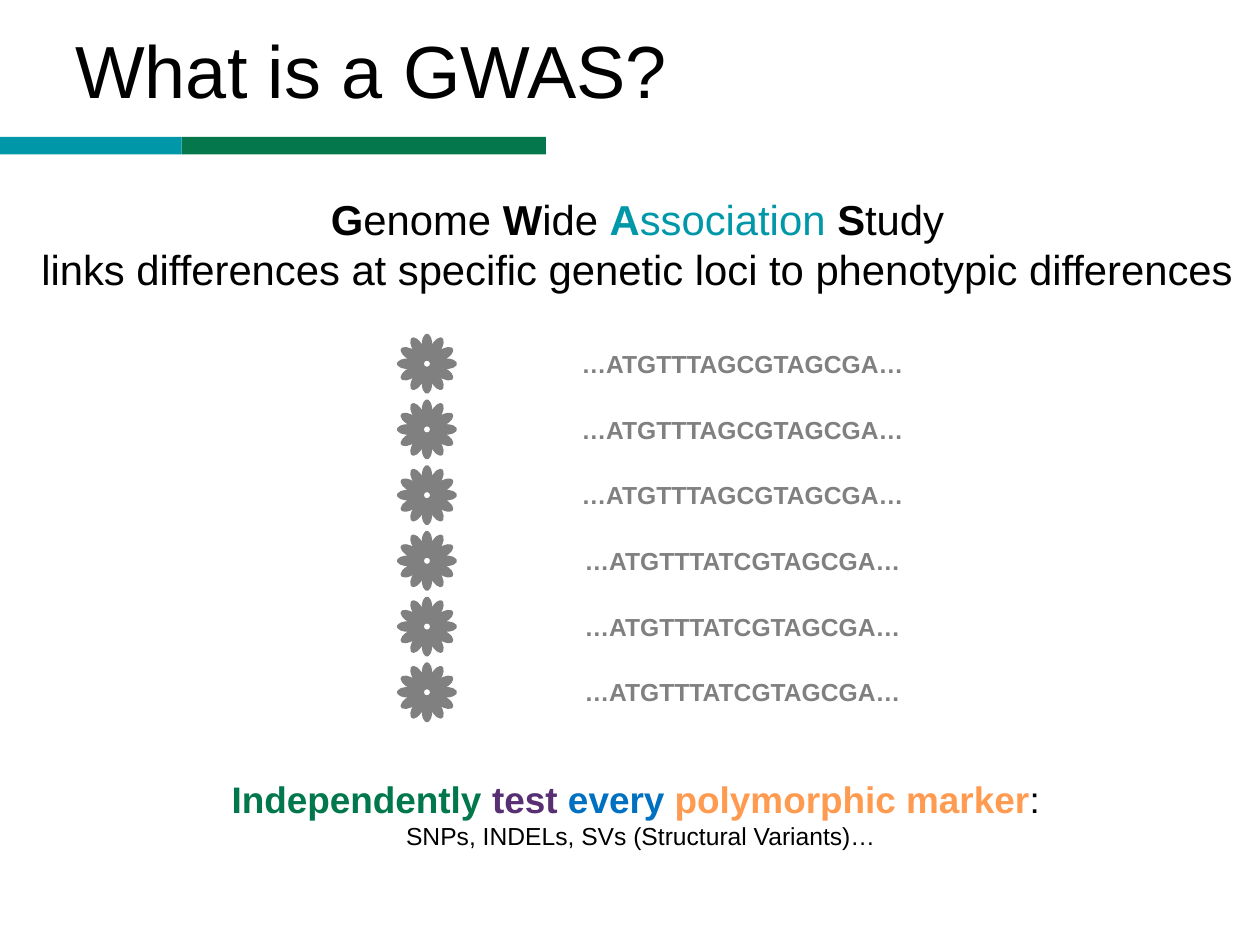
from math import cos, radians, sin

from lxml import etree
from pptx import Presentation
from pptx.dml.color import RGBColor
from pptx.enum.shapes import MSO_SHAPE
from pptx.enum.text import MSO_ANCHOR, MSO_AUTO_SIZE, PP_ALIGN
from pptx.oxml.ns import qn
from pptx.util import Pt

RECTANGLE = MSO_SHAPE.RECTANGLE
TOP, MIDDLE = MSO_ANCHOR.TOP, MSO_ANCHOR.MIDDLE
NO_FIT, GROW = MSO_AUTO_SIZE.NONE, MSO_AUTO_SIZE.SHAPE_TO_FIT_TEXT
LEFT, CENTER = PP_ALIGN.LEFT, PP_ALIGN.CENTER

TITLE_ONLY = 5
FONT = "Arial"
BLACK, GRAY, TEAL, GREEN = "000000", "808080", "0097A9", "05774D"
DARK_GREEN, PURPLE, BLUE, ORANGE = "01774C", "592F74", "0070C0", "FF9B50"

ROW_PITCH = 53.4
FLOWER_X, FLOWER_Y = 347, 295.6
SEQUENCE_Y = 278.9
SEQUENCES = ["…ATGTTTAGCGTAGCGA…"] * 3 + ["…ATGTTTATCGTAGCGA…"] * 3

PETAL_COUNT = 12
PETAL_CURVES = [(15.1, -3.6), (20.9, -3.6), (23.2, -0.7),
                (23.8, -0.3), (23.8, 0.3), (23.2, 0.7),
                (20.9, 3.6), (15.1, 3.6), (10.8, 2.9)]
HOLE_RADIUS, HOLE_HANDLE = 3.6, 2

DEFINITION = [
    [("G", 34, BLACK, True), ("enome ", 34, BLACK, False),
     ("W", 34, BLACK, True), ("ide ", 34, BLACK, False),
     ("A", 34, TEAL, True), ("ssociation ", 34, TEAL, False),
     ("S", 34, BLACK, True), ("tudy", 34, BLACK, False),
     ("\n", 34, BLACK, False),
     ("links differences at specific genetic loci to phenotypic differences",
      34, BLACK, False)],
]
MARKER_TEST = [
    [("Independently ", 30, DARK_GREEN, True), ("test ", 30, PURPLE, True),
     ("every ", 30, BLUE, True), ("polymorphic marker", 30, ORANGE, True),
     (": ", 30, BLACK, False)],
    [("SNPs, INDELs, SVs (Structural Variants)…", 20, BLACK, False)],
]


def color(value):
    """Turn a hex string into a colour."""
    return RGBColor.from_string(value)


def set_values(target, values):
    """Set attributes of an object from a dict."""
    for name, value in values.items():
        setattr(target, name, value)


def place(shape, left, top, width, height):
    """Position a shape by lengths in points."""
    set_values(shape, {"left": Pt(left), "top": Pt(top),
                       "width": Pt(width), "height": Pt(height)})


def add_run(paragraph, text, size, hex_color, bold):
    """Add a formatted run, or a line break for a newline."""
    if text == "\n":
        paragraph.add_line_break()
        return
    run = paragraph.add_run()
    run.text = text
    set_values(run.font, {"name": FONT, "size": Pt(size), "bold": bold})
    run.font.color.rgb = color(hex_color)


def write_text(frame, paragraphs, alignment, inset, **layout):
    """Fill a text frame with paragraphs of (text, size, colour, bold) runs."""
    margins = {f"margin_{side}": Pt(inset)
               for side in ("left", "top", "right", "bottom")}
    set_values(frame, margins | layout)
    for index, runs in enumerate(paragraphs):
        paragraph = frame.add_paragraph() if index else frame.paragraphs[0]
        paragraph.alignment = alignment
        for run_values in runs:
            add_run(paragraph, *run_values)


def add_title(slide, text):
    """Format the title placeholder."""
    title = slide.shapes.title
    place(title, 57.6, 16.6, 962, 151.2)
    write_text(title.text_frame, [[(text, 60, BLACK, False)]], LEFT, 3.6,
               vertical_anchor=TOP, word_wrap=True, auto_size=NO_FIT)


def add_text(slide, box, paragraphs, **layout):
    """Add a centred text box."""
    shape = slide.shapes.add_textbox(*map(Pt, box))
    write_text(shape.text_frame, paragraphs, CENTER, 4.3, **layout)


def add_bar(slide, left, width, hex_color):
    """Add one segment of the bar under the title."""
    shape = slide.shapes.add_shape(RECTANGLE, Pt(left), Pt(111.2), Pt(width), Pt(14.4))
    shape.shadow.inherit = False
    shape.fill.solid()
    shape.fill.fore_color.rgb = color(hex_color)
    shape.line.fill.background()


def polar_point(center_y, angle, along, across):
    """Locate a point along and across a ray from a flower's centre."""
    turn = radians(angle)
    return (Pt(FLOWER_X + along * sin(turn) + across * cos(turn)),
            Pt(center_y - along * cos(turn) + across * sin(turn)))


def ring(center_y, count, curves):
    """Repeat curve points around a flower's centre."""
    return [polar_point(center_y, index * 360 / count, *point)
            for index in range(count) for point in curves]


def curve_segments(shape):
    """Join every three line segments of a freeform into one cubic curve."""
    lines = list(shape.element.iter(qn("a:lnTo")))
    for start in range(0, len(lines), 3):
        curve = etree.Element(qn("a:cubicBezTo"))
        lines[start].addprevious(curve)
        for line in lines[start:start + 3]:
            curve.append(line[0])
            line.getparent().remove(line)


def add_flower(slide, center_y):
    """Add a flower of equal petals with a round hole."""
    petals = ring(center_y, PETAL_COUNT, PETAL_CURVES)
    hole = ring(center_y, 4, [(HOLE_RADIUS, HOLE_HANDLE),
                              (HOLE_HANDLE, HOLE_RADIUS), (0, HOLE_RADIUS)])
    builder = slide.shapes.build_freeform(*petals[-1])
    builder.add_line_segments(petals, close=True)
    builder.move_to(*hole[-1])
    builder.add_line_segments(hole, close=True)
    flower = builder.convert_to_shape()
    curve_segments(flower)
    flower.shadow.inherit = False
    for fill in (flower.fill, flower.line.fill):
        fill.solid()
        fill.fore_color.rgb = color(GRAY)
    flower.line.width = Pt(2)


def main():
    """Build and save the slide."""
    presentation = Presentation()
    set_values(presentation, {"slide_width": Pt(1024), "slide_height": Pt(768)})
    slide = presentation.slides.add_slide(presentation.slide_layouts[TITLE_ONLY])
    add_title(slide, "What is a GWAS?")
    add_bar(slide, 147.6, 296, GREEN)
    add_bar(slide, 0, 147.6, TEAL)
    add_text(slide, (23.8, 153.2, 988.6, 90.7), DEFINITION,
             vertical_anchor=TOP, word_wrap=False, auto_size=GROW)
    add_text(slide, (181, 627.2, 679.7, 68.4), MARKER_TEST,
             vertical_anchor=MIDDLE, word_wrap=False, auto_size=GROW)
    for row, sequence in enumerate(SEQUENCES):
        offset = row * ROW_PITCH
        add_flower(slide, FLOWER_Y + offset)
        add_text(slide, (452.9, SEQUENCE_Y + offset, 301, 33.1),
                 [[(sequence, 20, GRAY, True)]],
                 vertical_anchor=MIDDLE, word_wrap=True, auto_size=NO_FIT)
    presentation.save("out.pptx")


if __name__ == "__main__":
    main()
